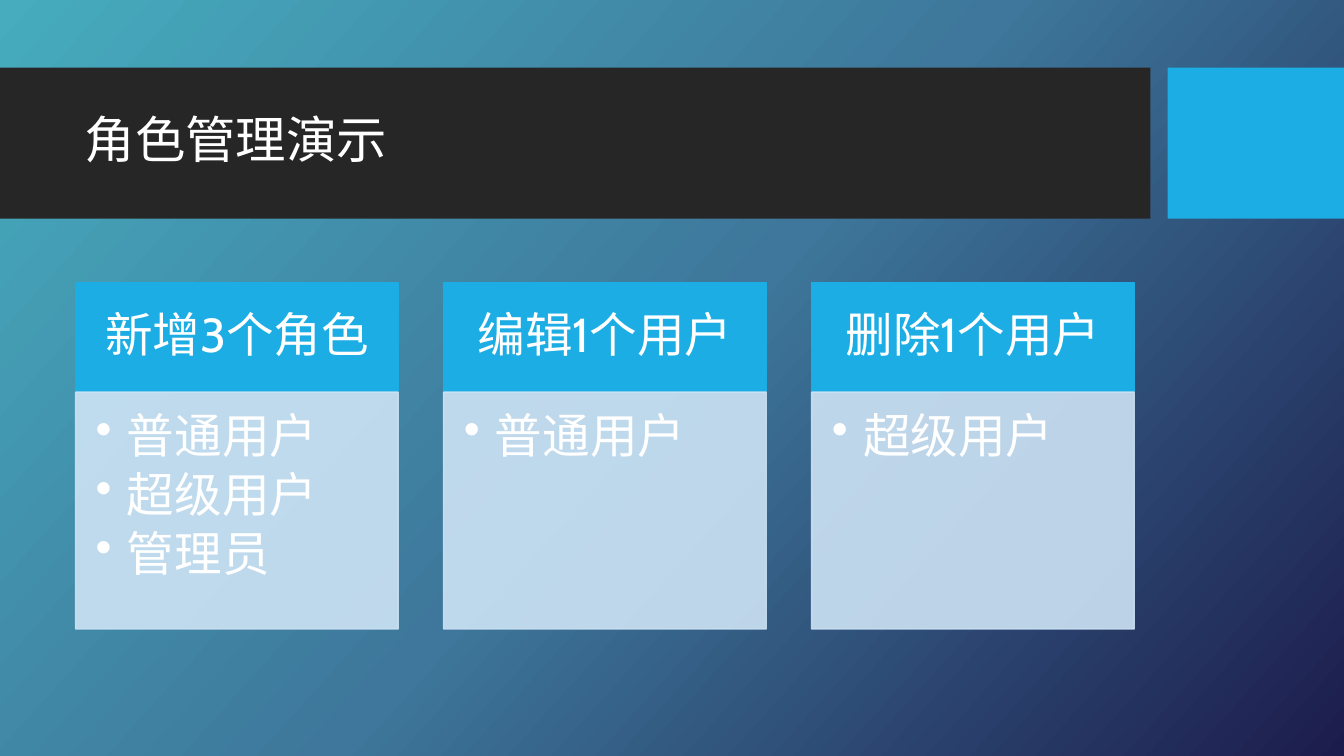
import copy
import lxml.etree
import pptx
import pptx.dml.color
import pptx.enum.shapes
import pptx.enum.text
import pptx.oxml.ns
import pptx.util

Inches = pptx.util.Inches
Pt = pptx.util.Pt
qn = pptx.oxml.ns.qn
Align = pptx.enum.text.PP_ALIGN
Anchor = pptx.enum.text.MSO_ANCHOR


def paint(form, tone):
    form.rgb = pptx.dml.color.RGBColor.from_string(tone)


def write(frame, text, size=34, align=Align.LEFT, anchor=Anchor.MIDDLE,
          pad=(0.1, 0.05, 0.1, 0.05), after=0, dot=False):
    frame.word_wrap = True
    frame.auto_size = pptx.enum.text.MSO_AUTO_SIZE.NONE
    frame.vertical_anchor = anchor
    frame.margin_left, frame.margin_top, frame.margin_right, frame.margin_bottom = map(Inches, pad)
    frame.text = text
    for para in frame.paragraphs:
        para.alignment = align
        para.line_spacing = 0.9
        para.space_before = Pt(0)
        para.space_after = Pt(after)
        para.font.size = Pt(size)
        for run in para.runs:
            run.font.size = Pt(size)
            run.font.name = "Cabin"
            paint(run.font.color, "FFFFFF")
        if dot:
            para.level = 1
            props = para._p.get_or_add_pPr()
            props.set("marL", str(Inches(0.31)))
            props.set("indent", str(-Inches(0.31)))
            mark = lxml.etree.Element(qn("a:buChar"), char="•")
            props.find(qn("a:spcAft")).addnext(mark)


deck = pptx.Presentation()
deck.slide_width = Inches(13.33)
deck.slide_height = Inches(7.5)
slide = deck.slides.add_slide(deck.slide_layouts[5])

fill = slide.background.fill
fill.gradient()
fill.gradient_angle = 318
stops = slide.element.xpath(".//a:gsLst")[0]
stops.append(copy.deepcopy(stops[-1]))
for stop, place, tone in zip(fill.gradient_stops, (0, 0.5, 1), ("46ACBE", "3E779B", "1C1C4C")):
    stop.position = place
    paint(stop.color, tone)

left, pitch, wide = 0.75, 3.65, 3.2
cards = [
    ("新增3个角色", ["普通用户", "超级用户", "管理员"]),
    ("编辑1个用户", ["普通用户"]),
    ("删除1个用户", ["超级用户"]),
]
head = dict(align=Align.CENTER, pad=(0.26, 0.15, 0.26, 0.15), after=12)
body = dict(anchor=Anchor.TOP, pad=(0.2, 0.2, 0.26, 0.3), after=5.4, dot=True)

boxes = [
    (0, 0.67, 11.41, 1.5, "262626", "", {}),
    (11.58, 0.67, 1.75, 1.5, "1CADE4", "", {}),
]
for col, (name, items) in enumerate(cards):
    x = left + col * pitch
    boxes.append((x, 2.81, wide, 1.07, "1CADE4", name, head))
    boxes.append((x, 3.89, wide, 2.35, "CDE3F5", "\n".join(items), body))

for x, y, w, h, tone, text, style in boxes:
    box = slide.shapes.add_shape(pptx.enum.shapes.MSO_SHAPE.RECTANGLE,
                                 *map(Inches, (x, y, w, h)))
    box.shadow.inherit = False
    box.fill.solid()
    paint(box.fill.fore_color, tone)
    if not text:
        box.line.fill.background()
        continue
    box.line.width = Pt(1)
    paint(box.line.color, tone)
    if style is body:
        for node in box.element.xpath("p:spPr//a:srgbClr"):
            lxml.etree.SubElement(node, qn("a:alpha"), val="90000")
    write(box.text_frame, text, **style)

title = slide.shapes.title
title.left, title.top, title.width, title.height = map(Inches, (0.74, 0.82, 10.51, 1.18))
write(title.text_frame, "角色管理演示", size=36)
slide.shapes[2].element.addnext(title.element)

deck.save("out.pptx")
